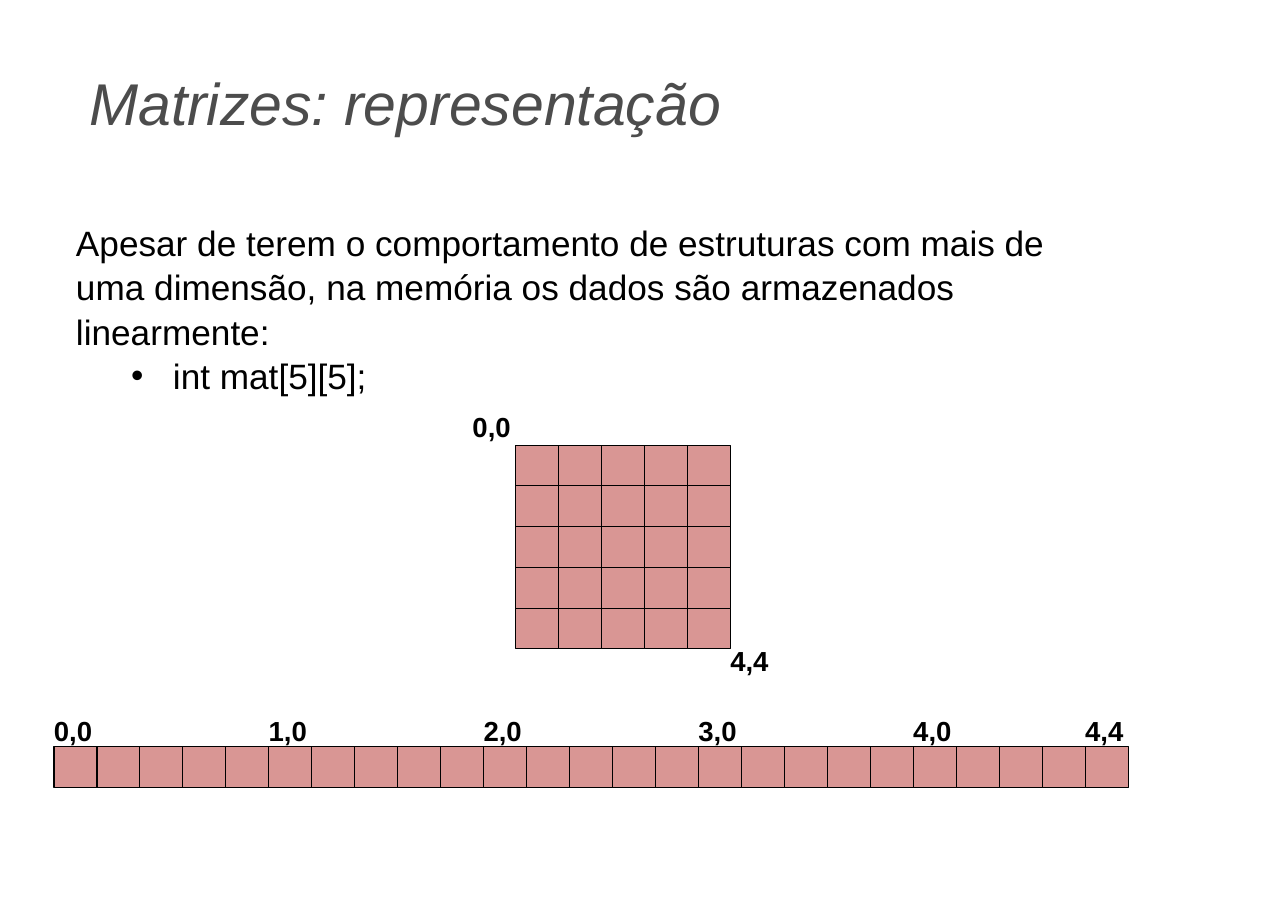
"""Build the slide on how a 5 by 5 matrix is stored linearly in memory."""
from dataclasses import dataclass

from lxml import etree
from pptx import Presentation
from pptx.dml.color import RGBColor
from pptx.enum.shapes import MSO_SHAPE
from pptx.enum.text import MSO_ANCHOR, MSO_AUTO_SIZE, PP_ALIGN
from pptx.oxml.ns import qn
from pptx.util import Emu, Pt

PX = 9144
RECT = MSO_SHAPE.RECTANGLE
LEFT, TOP, NO_FIT = PP_ALIGN.LEFT, MSO_ANCHOR.TOP, MSO_AUTO_SIZE.NONE
FONT = "Arial"
COLORS = {"title": "4C4C4C", "text": "000000", "cell": "D99694", "line": "000000"}
SIDE = 5
CELL_W, CELL_H = 39, 37
LABEL_H = 40


@dataclass(frozen=True)
class Label:
    text: str
    left: int
    top: int
    width: int


@dataclass(frozen=True)
class Grid:
    left: int
    top: int
    rows: int
    cols: int
    labels: tuple[Label, ...]


STRIP_LEFT, STRIP_TOP = 49, 678
STRIP_MARKS = [(row, 0) for row in range(SIDE)] + [(SIDE - 1, SIDE - 1)]
GRIDS = (
    Grid(468, 404, SIDE, SIDE,
         (Label("0,0", 419, 367, 107), Label("4,4", 653, 580, 107))),
    Grid(STRIP_LEFT, STRIP_TOP, 1, SIDE * SIDE,
         tuple(Label(f"{row},{col}", STRIP_LEFT - 10 + (row * SIDE + col) * CELL_W,
                     STRIP_TOP - 35, 68) for row, col in STRIP_MARKS)),
)


def px(n: int) -> Emu:
    """Turn px into EMU."""
    return Emu(n * PX)


def rgb(name: str) -> RGBColor:
    """Look up a named colour."""
    return RGBColor.from_string(COLORS[name])


def place(sp, left: int, top: int, width: int, height: int) -> None:
    """Move and size a shape."""
    sp.left, sp.top, sp.width, sp.height = px(left), px(top), px(width), px(height)


def set_frame(tf, margin_x: int, margin_y: int) -> None:
    """Give a text frame its wrapping, anchor and margins."""
    tf.word_wrap = True
    tf.auto_size = NO_FIT
    tf.vertical_anchor = TOP
    tf.margin_left = tf.margin_right = px(margin_x)
    tf.margin_top = tf.margin_bottom = px(margin_y)


def add_run(p, text: str, size: float, color: str,
            bold: bool = False, italic: bool = False) -> None:
    """Add one formatted run to a left-aligned paragraph."""
    p.alignment = LEFT
    p.space_before = Pt(0)
    r = p.add_run()
    r.text = text
    r.font.name, r.font.size = FONT, Pt(size)
    r.font.bold, r.font.italic = bold, italic
    r.font.color.rgb = rgb(color)


def set_bullet(p, margin: int, indent: int, char: str = "") -> None:
    """Set the indents and the bullet of a paragraph."""
    pPr = p._p.get_or_add_pPr()
    pPr.set("marL", str(px(margin)))
    pPr.set("indent", str(px(indent)))
    if char:
        etree.SubElement(pPr, qn("a:buFont")).set("typeface", FONT)
        etree.SubElement(pPr, qn("a:buChar")).set("char", char)
    else:
        etree.SubElement(pPr, qn("a:buNone"))


def fill_title(sp) -> None:
    """Fill the title placeholder."""
    place(sp, 80, 55, 1009, 65)
    set_frame(sp.text_frame, 0, 0)
    sp.text_frame.margin_top = px(5)
    p = sp.text_frame.paragraphs[0]
    set_bullet(p, 1, 0)
    add_run(p, "Matrizes: representação", 38.5, "title", italic=True)


def fill_body(sp) -> None:
    """Fill the body placeholder with the sentence and the declaration."""
    place(sp, 58, 193, 955, 587)
    tf = sp.text_frame
    set_frame(tf, 11, 6)
    p = tf.paragraphs[0]
    set_bullet(p, 0, 0)
    p.line_spacing = 1.05
    add_run(p, "Apesar de terem o comportamento de estruturas com mais de uma dimensão, "
               "na memória os dados são armazenados linearmente:", 23, "text")
    p = tf.add_paragraph()
    p.level = 1
    set_bullet(p, 88, -38, "•")
    p.line_spacing = 1.05
    add_run(p, "int mat[5][5];", 23, "text")


def add_cell(shapes, left: int, top: int) -> None:
    """Draw one memory cell."""
    sp = shapes.add_shape(RECT, px(left), px(top), px(CELL_W), px(CELL_H))
    sp.shadow.inherit = False
    sp.fill.solid()
    sp.fill.fore_color.rgb = rgb("cell")
    sp.line.color.rgb = rgb("line")
    sp.line.width = Pt(0.75)


def add_label(shapes, label: Label) -> None:
    """Write one index label."""
    sp = shapes.add_textbox(px(label.left), px(label.top), px(label.width), px(LABEL_H))
    set_frame(sp.text_frame, 10, 5)
    add_run(sp.text_frame.paragraphs[0], label.text, 18, "text", bold=True)


def add_grid(s, grid: Grid) -> None:
    """Draw a group of cells with its index labels."""
    shapes = s.shapes.add_group_shape().shapes
    for row in range(grid.rows):
        for col in range(grid.cols):
            add_cell(shapes, grid.left + col * CELL_W, grid.top + row * CELL_H)
    for label in grid.labels:
        add_label(shapes, label)


def main() -> None:
    """Build and save the slide."""
    prs = Presentation()
    prs.slide_width, prs.slide_height = px(1169), px(826)
    s = prs.slides.add_slide(prs.slide_layouts[1])
    fill_title(s.shapes.title)
    fill_body(s.placeholders[1])
    for grid in GRIDS:
        add_grid(s, grid)
    prs.save("out.pptx")


if __name__ == "__main__":
    main()
